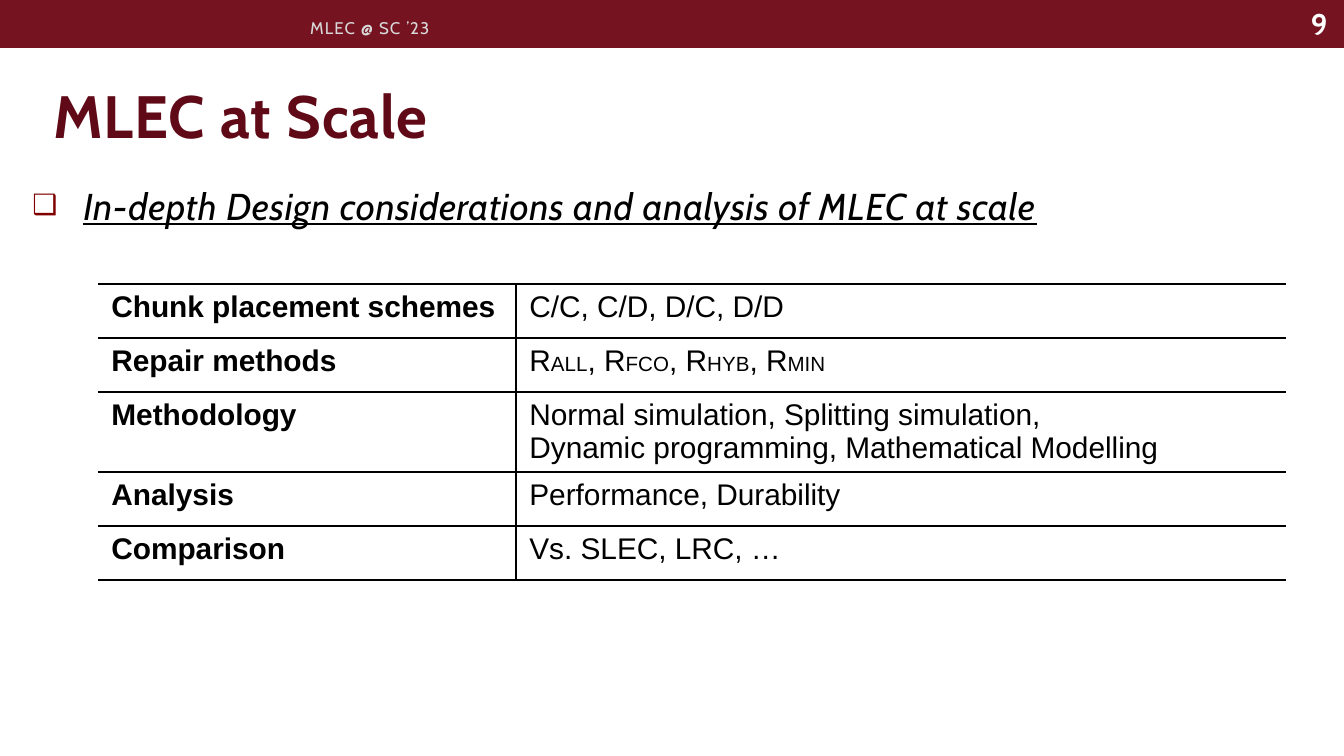
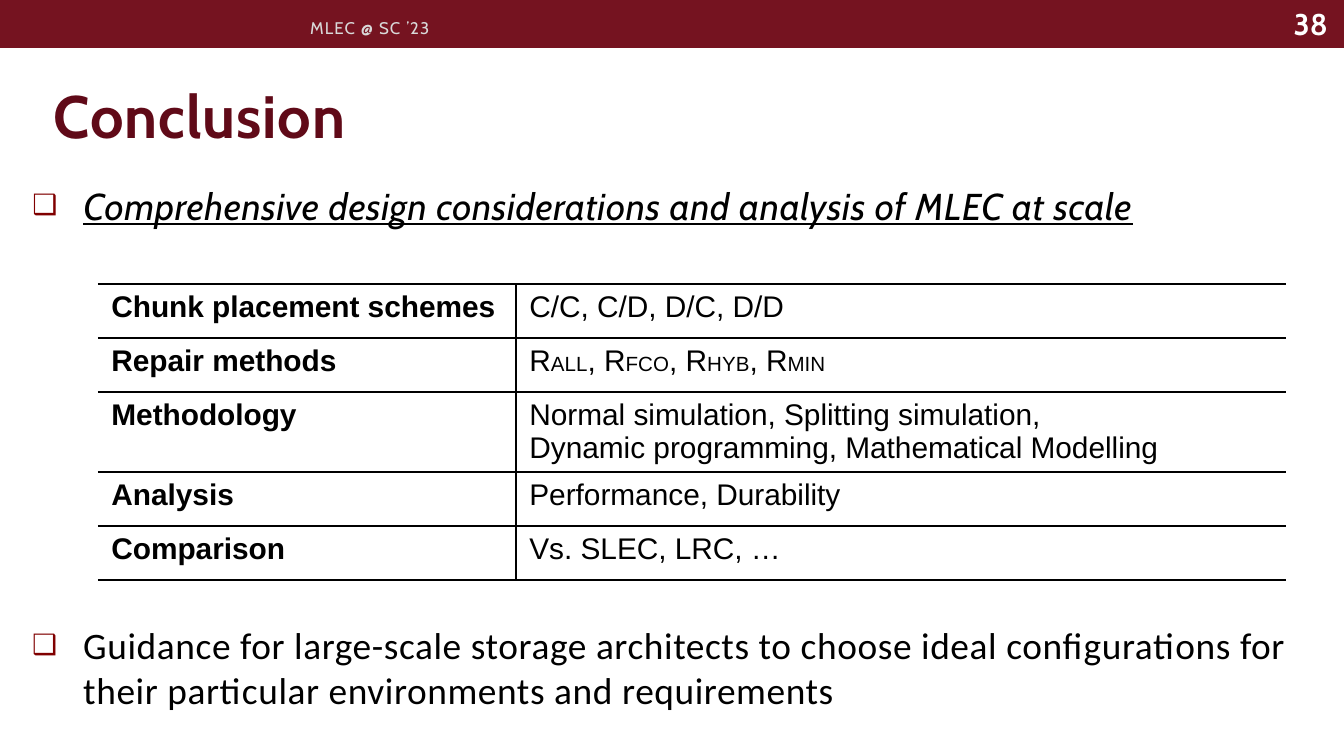
from dataclasses import dataclass

from lxml.etree import SubElement
from pptx import Presentation
from pptx.dml.color import RGBColor
from pptx.enum.shapes import MSO_SHAPE
from pptx.enum.text import MSO_ANCHOR, MSO_AUTO_SIZE, PP_ALIGN
from pptx.oxml.ns import qn
from pptx.util import Emu, Pt


@dataclass(frozen=True)
class Theme:
    band: str = "751320"
    title: str = "600A18"
    bullet: str = "800000"
    ink: str = "000000"
    pale: str = "D9D9D9"
    white: str = "FFFFFF"
    head: str = "Cabin"
    text: str = "Calibri"
    grid: str = "Arial"
    title_size: int = 32
    body_size: int = 20
    cell_size: int = 16
    small_size: int = 11
    foot_size: int = 9


THEME = Theme()
WIDE, HIGH = 1344, 756
SCALE = 914400 / 134.4
INDENT = 51
PLAIN_GRID = "{2D5ABB26-0587-4C30-8999-92F81FD0307C}"

FOOTER = "MLEC @ SC ’23"
COLS = (418, 770)
ROW, TALL = 54, 80
# In a cell, "|" switches between full and small capitals.
SCHEMES = (
    ("Chunk placement schemes", "C/C, C/D, D/C, D/D"),
    ("Repair methods", "R|ALL|, R|FCO|, R|HYB|, R|MIN"),
    ("Methodology", "Normal simulation, Splitting simulation,\n"
                    "Dynamic programming, Mathematical Modelling"),
    ("Analysis", "Performance, Durability"),
    ("Comparison", "Vs. SLEC, LRC, …"),
)


def px(n):
    return Emu(round(n * SCALE))


def place(shape, left, top, width, height):
    shape.left, shape.top = px(left), px(top)
    shape.width, shape.height = px(width), px(height)


def style(run, size, face, color, bold=False, space=0):
    font = run.font
    font.size, font.name, font.bold = Pt(size), face, bold
    font.color.rgb = RGBColor.from_string(color)
    if space:
        font._element.set("spc", str(round(space * 100)))


def write(shape, text, anchor, align=PP_ALIGN.LEFT, **look):
    """Fill a shape with one styled paragraph and return that paragraph."""
    frame = shape.text_frame
    frame.text = text
    frame.word_wrap = True
    frame.auto_size = MSO_AUTO_SIZE.NONE
    frame.vertical_anchor = anchor
    par = frame.paragraphs[0]
    par.alignment = align
    style(par.runs[0], **look)
    return par


def label(slide, text, box, **look):
    shape = slide.shapes.add_textbox(*map(px, box))
    write(shape, text, MSO_ANCHOR.MIDDLE, **look)


def point(shape, text, face, key=False):
    """Write a bulleted line; a key line is italic and underlined."""
    par = write(shape, text, MSO_ANCHOR.TOP, size=THEME.body_size,
                face=face, color=THEME.ink, space=0.3)
    par.space_before = Pt(15)
    font = par.runs[0].font
    font.italic = font.underline = key
    props = par._p.get_or_add_pPr()
    props.set("marL", str(px(INDENT)))
    props.set("indent", str(-px(INDENT)))
    tint = SubElement(props, qn("a:buClr"))
    SubElement(tint, qn("a:srgbClr"), val=THEME.bullet)
    SubElement(props, qn("a:buSzPct"), val="75000")
    SubElement(props, qn("a:buFont"), typeface=THEME.grid)
    SubElement(props, qn("a:buChar"), char="❑")


def border(cell, sides):
    props = cell._tc.get_or_add_tcPr()
    for side in sides:
        line = SubElement(props, qn(f"a:ln{side}"), w=str(Pt(1)))
        fill = SubElement(line, qn("a:solidFill"))
        SubElement(fill, qn("a:srgbClr"), val=THEME.ink)


def fill_cell(cell, text, bold):
    cell.text_frame.text = text.replace("|", "")
    for par, line in zip(cell.text_frame.paragraphs, text.split("\n")):
        parts = line.split("|")
        par.runs[0].text = parts[0]
        for part in parts[1:]:
            par.add_run().text = part
        for i, run in enumerate(par.runs):
            size = THEME.small_size if i % 2 else THEME.cell_size
            style(run, size, THEME.grid, THEME.ink, bold)


def add_grid(slide):
    tall = ROW * (len(SCHEMES) - 1) + TALL
    frame = slide.shapes.add_table(len(SCHEMES), len(COLS), px(98), px(284),
                                   px(sum(COLS)), px(tall))
    table = frame.table
    table.first_row = table.horz_banding = False
    table._tbl.tblPr.find(qn("a:tableStyleId")).text = PLAIN_GRID
    for col, width in zip(table.columns, COLS):
        col.width = px(width)
    for r, pair in enumerate(SCHEMES):
        table.rows[r].height = px(TALL if "\n" in pair[1] else ROW)
        for c, text in enumerate(pair):
            cell = table.cell(r, c)
            fill_cell(cell, text, bold=c == 0)
            border(cell, "LTB" if c else "RTB")
            cell.fill.background()


def add_band(deck, slide):
    """Draw the top band and move it to the master, behind all else."""
    band = slide.shapes.add_shape(MSO_SHAPE.RECTANGLE, 0, 0, px(WIDE), px(48))
    band.shadow.inherit = False
    band.fill.solid()
    band.fill.fore_color.rgb = RGBColor.from_string(THEME.band)
    band.line.fill.background()
    band.element.nvSpPr.cNvPr.set("id", "99")
    deck.slide_master.shapes.element.insert(2, band.element)


def add_slide(deck, number, title, lead, depth):
    slide = deck.slides.add_slide(deck.slide_layouts[1])
    head, body = slide.placeholders
    place(head, 40, 31, 1267, 126)
    write(head, title, MSO_ANCHOR.BOTTOM, size=THEME.title_size,
          face=THEME.head, color=THEME.title, bold=True, space=0.5)
    place(body, 19, 176, 1316, depth)
    point(body, lead, THEME.head, key=True)
    label(slide, str(number), (1223, -1, 118, 50), align=PP_ALIGN.RIGHT,
          size=THEME.cell_size, face=THEME.head, color=THEME.white, bold=True)
    label(slide, FOOTER, (297, 8, 478, 39), size=THEME.foot_size,
          face=THEME.head, color=THEME.pale, space=0.6)
    add_grid(slide)
    return slide


def main():
    deck = Presentation()
    deck.slide_width, deck.slide_height = px(WIDE), px(HIGH)
    first = add_slide(
        deck, 9, "MLEC at Scale",
        "In-depth Design considerations and analysis of MLEC at scale", 579)
    add_band(deck, first)
    last = add_slide(
        deck, 38, "Conclusion",
        "Comprehensive design considerations and analysis of MLEC at scale", 78)
    note = last.shapes.add_textbox(*map(px, (19, 616, 1316, 110)))
    point(note, "Guidance for large-scale storage architects to choose ideal "
          "configurations for their particular environments and requirements",
          THEME.text)
    deck.save("out.pptx")


if __name__ == "__main__":
    main()
